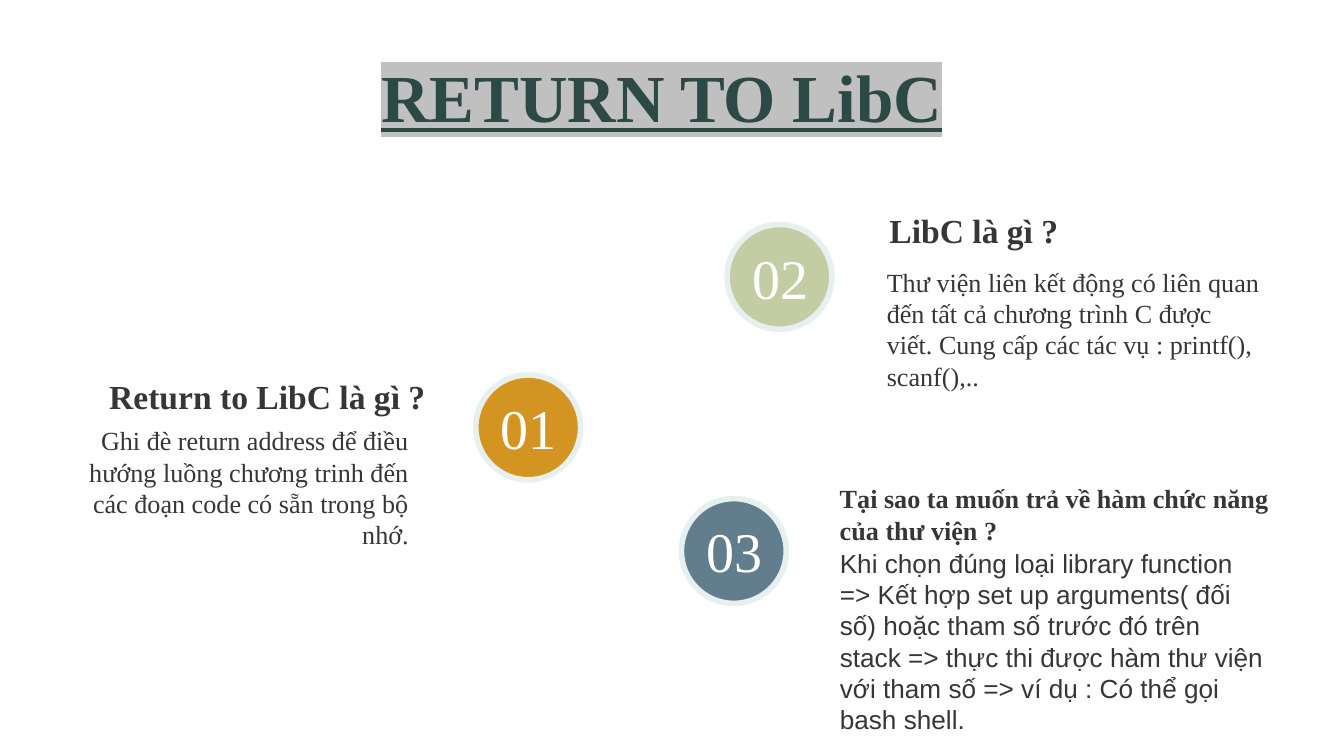
from dataclasses import dataclass

import pptx
import pptx.dml.color
import pptx.enum.shapes
import pptx.enum.text
import pptx.oxml
import pptx.oxml.ns
import pptx.util

Inches = pptx.util.Inches
Pt = pptx.util.Pt
RGB = pptx.dml.color.RGBColor.from_string
Align = pptx.enum.text.PP_ALIGN
Anchor = pptx.enum.text.MSO_ANCHOR


@dataclass(frozen=True)
class Theme:
    title: str = "2C4946"
    mark: str = "C0C0C0"
    ink: str = "383536"
    white: str = "FFFFFF"
    ring: str = "E6F0EF"
    serif: str = "Times New Roman"
    sans: str = "Arial"
    huge: int = 36
    digit: int = 30
    head: int = 18
    body: int = 14
    inset: float = 0.1
    disc: float = 0.78


THEME = Theme()


@dataclass(frozen=True)
class Box:
    left: float
    top: float
    width: float
    height: float


@dataclass(frozen=True)
class Label:
    text: str
    box: Box
    size: int
    color: str = THEME.ink
    face: str = THEME.serif
    bold: bool = False
    line: bool = False
    align: Align = Align.LEFT
    anchor: Anchor = Anchor.TOP
    mark: str = ""


@dataclass(frozen=True)
class Disc:
    left: float
    top: float
    color: str
    number: str
    box: Box


DISCS = [
    Disc(5.07, 3.71, "627E8D", "03", Box(5.15, 3.83, 0.63, 0.52)),
    Disc(3.54, 2.79, "D49421", "01", Box(3.52, 2.96, 0.83, 0.44)),
    Disc(5.41, 1.67, "C3CCA2", "02", Box(5.38, 1.8, 0.85, 0.52)),
]

LABELS = [
    Label("RETURN TO LibC", Box(2.49, 0.31, 4.87, 0.9), THEME.huge,
          THEME.title, bold=True, line=True, align=Align.CENTER,
          mark=THEME.mark),
    Label("Return to LibC là gì ?", Box(0.34, 2.57, 3.3, 0.63), THEME.head,
          bold=True, align=Align.CENTER, anchor=Anchor.BOTTOM),
    Label("Ghi đè return address để điều hướng luồng chương trinh đến các "
          "đoạn code có sẵn trong bộ nhớ.",
          Box(0.47, 3.06, 2.67, 0.96), THEME.body, align=Align.RIGHT),
    Label("LibC là gì ?", Box(6.52, 1.33, 2.97, 0.63), THEME.head,
          bold=True, anchor=Anchor.BOTTOM),
    Label("Thư viện liên kết động có liên quan đến tất cả chương trình C "
          "được viết. Cung cấp các tác vụ : printf(), scanf(),..",
          Box(6.5, 1.88, 3, 0.96), THEME.body),
    Label("Tại sao ta muốn trả về hàm chức năng của thư viện ?",
          Box(6.15, 3.53, 3.47, 0.63), THEME.body,
          bold=True, anchor=Anchor.BOTTOM),
    Label("Khi chọn đúng loại library function => Kết hợp set up arguments( "
          "đối số) hoặc tham số trước đó trên stack => thực thi được hàm thư "
          "viện với tham số => ví dụ : Có thể gọi bash shell.",
          Box(6.15, 3.97, 3.38, 0.96), THEME.body, face=THEME.sans),
]


def apply(target: object, values: dict) -> None:
    for name, value in values.items():
        setattr(target, name, value)


def shade(font: pptx.text.text.Font, color: str) -> None:
    """Put a highlight behind the text, right after its solid fill."""
    space = pptx.oxml.ns.nsdecls("a")
    node = pptx.oxml.parse_xml(
        f'<a:highlight {space}><a:srgbClr val="{color}"/></a:highlight>')
    fill = font._element.find(pptx.oxml.ns.qn("a:solidFill"))
    fill.addnext(node)


def write(slide: pptx.slide.Slide, label: Label) -> None:
    box = label.box
    frame = slide.shapes.add_textbox(
        Inches(box.left), Inches(box.top),
        Inches(box.width), Inches(box.height)).text_frame
    apply(frame, {"word_wrap": True, "vertical_anchor": label.anchor})
    apply(frame, {f"margin_{side}": Inches(THEME.inset)
                  for side in ("left", "top", "right", "bottom")})
    para = frame.paragraphs[0]
    para.alignment = label.align
    run = para.add_run()
    run.text = label.text
    apply(run.font, {"name": label.face, "size": Pt(label.size),
                     "bold": label.bold, "underline": label.line})
    run.font.color.rgb = RGB(label.color)
    if label.mark:
        shade(run.font, label.mark)


def draw(slide: pptx.slide.Slide, disc: Disc) -> None:
    """Draw a ringed circle and its number."""
    shape = slide.shapes.add_shape(
        pptx.enum.shapes.MSO_SHAPE.OVAL, Inches(disc.left), Inches(disc.top),
        Inches(THEME.disc), Inches(THEME.disc))
    shape.shadow.inherit = False
    shape.fill.solid()
    shape.fill.fore_color.rgb = RGB(disc.color)
    shape.line.color.rgb = RGB(THEME.ring)
    shape.line.width = Pt(3)
    write(slide, Label(disc.number, disc.box, THEME.digit, THEME.white,
                       align=Align.CENTER, anchor=Anchor.MIDDLE))


def main() -> None:
    deck = pptx.Presentation()
    wide = Inches(10)
    apply(deck, {"slide_width": wide, "slide_height": wide * 9 // 16})
    slide = deck.slides.add_slide(deck.slide_layouts[6])
    for disc in DISCS:
        draw(slide, disc)
    for label in LABELS:
        write(slide, label)
    deck.save("out.pptx")


if __name__ == "__main__":
    main()
